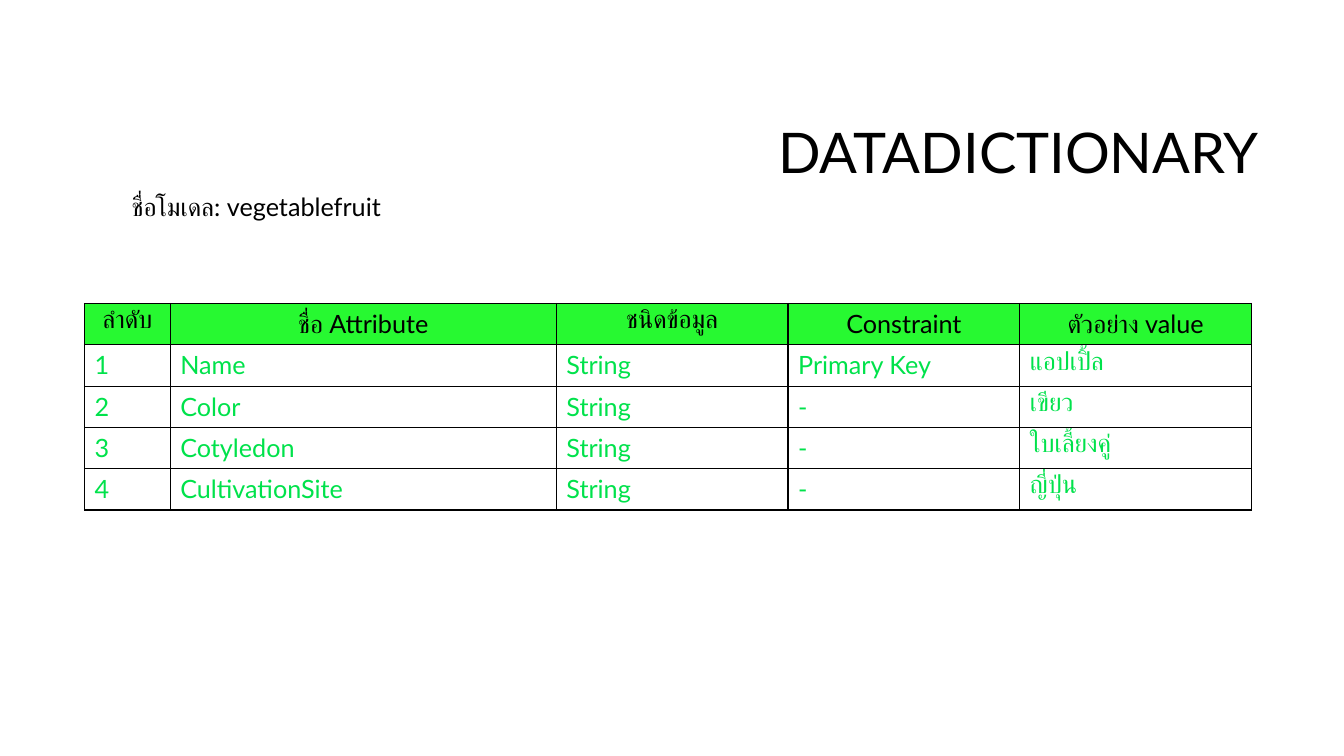
from lxml import etree
from pptx import Presentation
from pptx.dml.color import RGBColor
from pptx.enum.text import MSO_ANCHOR, PP_ALIGN
from pptx.oxml.ns import qn
from pptx.util import Cm, Pt

LEFT, CENTER, RIGHT = PP_ALIGN.LEFT, PP_ALIGN.CENTER, PP_ALIGN.RIGHT
MIDDLE = MSO_ANCHOR.MIDDLE
BLACK = RGBColor(0x00, 0x00, 0x00)
HEADER_GREEN = RGBColor(0x27, 0xF9, 0x31)
TEXT_GREEN = RGBColor(0x00, 0xE2, 0x4B)
FONT = "Lato"
TITLE_ONLY = 5

COLUMN_WIDTHS = [2.16, 9.73, 5.84, 5.84, 5.84]
ROW_HEIGHT = 1.04
HEADERS = ["ลำดับ", "ชื่อ Attribute", "ชนิดข้อมูล", "Constraint", "ตัวอย่าง value"]
ATTRIBUTES = [
    ("Name", "String", "Primary Key", "แอปเปิ้ล"),
    ("Color", "String", "-", "เขียว"),
    ("Cotyledon", "String", "-", "ใบเลี้ยงคู่"),
    ("CultivationSite", "String", "-", "ญี่ปุ่น"),
]


def write_text(frame, text, size, color, alignment=LEFT):
    """Write one formatted paragraph into a text frame."""
    para = frame.paragraphs[0]
    para.text = text
    para.alignment = alignment
    para.font.name = FONT
    para.font.size = Pt(size)
    para.font.color.rgb = color
    return para


def add_borders(cell):
    """Draw a thin black line on every side of a cell."""
    properties = cell._tc.get_or_add_tcPr()
    for position, side in enumerate(("a:lnL", "a:lnR", "a:lnT", "a:lnB")):
        line = etree.Element(qn(side), w=str(Pt(1)))
        fill = etree.SubElement(line, qn("a:solidFill"))
        etree.SubElement(fill, qn("a:srgbClr"), val=str(BLACK))
        properties.insert(position, line)


def add_title(page, text):
    """Place and format the title placeholder."""
    title = page.shapes.title
    title.left, title.top = Cm(8.05), Cm(2.13)
    title.width, title.height = Cm(23.93), Cm(3.58)
    title.text_frame.vertical_anchor = MIDDLE
    para = write_text(title.text_frame, text, 40, BLACK, RIGHT)
    para.line_spacing = 0.9


def add_model_name(page, text):
    """Add the line that names the model."""
    box = page.shapes.add_textbox(Cm(3.07), Cm(4.7), Cm(10.39), Cm(1.02))
    box.text_frame.word_wrap = True
    write_text(box.text_frame, text, 18, BLACK)


def add_dictionary(page, rows):
    """Add the attribute table, its first row being the header."""
    table = page.shapes.add_table(
        len(rows), len(COLUMN_WIDTHS), Cm(2.13), Cm(7.65),
        Cm(sum(COLUMN_WIDTHS)), Cm(ROW_HEIGHT * len(rows))).table
    table.first_row = False
    table.horz_banding = False
    for column, width in zip(table.columns, COLUMN_WIDTHS):
        column.width = Cm(width)
    for row_index, values in enumerate(rows):
        table.rows[row_index].height = Cm(ROW_HEIGHT)
        for column_index, value in enumerate(values):
            cell = table.cell(row_index, column_index)
            if row_index == 0:
                cell.fill.solid()
                cell.fill.fore_color.rgb = HEADER_GREEN
                write_text(cell.text_frame, value, 18, BLACK, CENTER)
            else:
                cell.fill.background()
                write_text(cell.text_frame, value, 18, TEXT_GREEN)
            add_borders(cell)


def main():
    """Build the data dictionary slide."""
    deck = Presentation()
    deck.slide_width, deck.slide_height = Cm(33.87), Cm(19.05)
    page = deck.slides.add_slide(deck.slide_layouts[TITLE_ONLY])
    add_title(page, "DATADICTIONARY")
    numbered = [(str(number), *attribute)
                for number, attribute in enumerate(ATTRIBUTES, start=1)]
    add_dictionary(page, [HEADERS, *numbered])
    add_model_name(page, "ชื่อโมเดล: vegetablefruit")
    deck.save("out.pptx")


if __name__ == "__main__":
    main()
